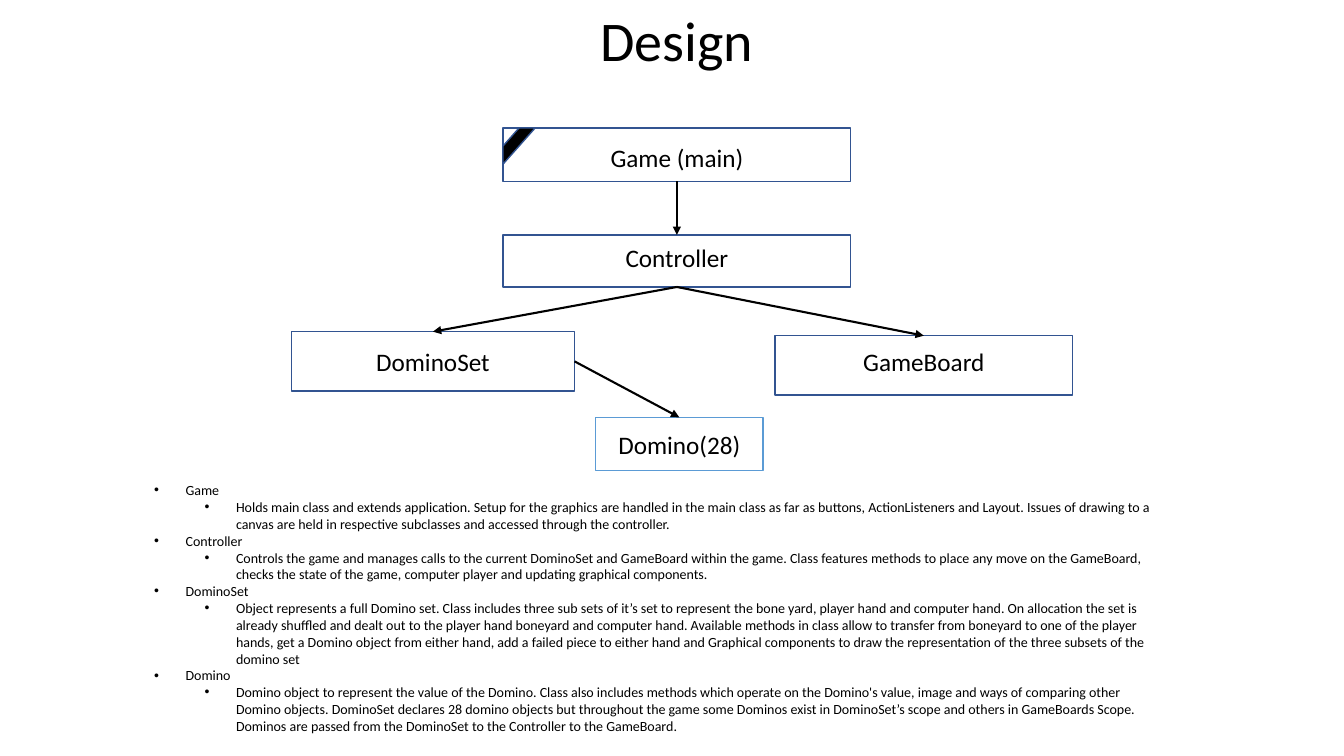
from pptx import Presentation
from pptx.dml.color import RGBColor
from pptx.enum.shapes import MSO_CONNECTOR, MSO_SHAPE
from pptx.enum.text import MSO_ANCHOR, PP_ALIGN
from pptx.oxml.ns import qn
from pptx.util import Pt
from lxml import etree

RECT, STRIPE = MSO_SHAPE.RECTANGLE, MSO_SHAPE.DIAGONAL_STRIPE
LINE = MSO_CONNECTOR.STRAIGHT
LEFT, MID = PP_ALIGN.LEFT, PP_ALIGN.CENTER
TOP, CORE, LOW = MSO_ANCHOR.TOP, MSO_ANCHOR.MIDDLE, MSO_ANCHOR.BOTTOM

THEME = {
    "font": "Calibri", "ink": "000000", "paper": "FFFFFF",
    "edge": "325491", "pale": "5B9BD5",
    "title": 40, "label": 18, "body": 10,
}

TITLE = ("Design", (120.2, 0, 726.5, 56.2))

BOXES = {
    "Game (main)": ((359.3, 91.4, 248.4, 38.2), "edge"),
    "Controller": ((359.3, 167.8, 248.4, 37.2), "edge"),
    "DominoSet": ((208.1, 236.9, 202.3, 42.5), "edge"),
    "GameBoard": ((553.7, 239.8, 212.4, 42.5), "edge"),
    "Domino(28)": ((425.5, 298.1, 119.5, 38.2), "pale"),
}
LABELS = {
    "Game (main)": (97.9, 157),
    "Controller": (169.9, 134),
    "DominoSet": (244.1, 183.6),
    "GameBoard": (244.1, 193.7),
}
MARK = (359.3, 91.4, 23, 25.9)

ARROWS = [
    ("Controller", 2, "DominoSet", 0),
    ("Controller", 2, "GameBoard", 0),
    ("Game (main)", 2, "Controller", 0),
    ("DominoSet", 3, "Domino(28)", 0),
]

NOTES_AT = (103, 340.6, 735.1, 199.4)
NOTES = [
    ("Game", "Holds main class and extends application. Setup for the graphics are handled in the main class as far as buttons, ActionListeners and Layout. Issues of drawing to a canvas are held in respective subclasses and accessed through the controller."),
    ("Controller", "Controls the game and manages calls to the current DominoSet and GameBoard within the game. Class features methods to place any move on the GameBoard, checks the state of the game, computer player and updating graphical components."),
    ("DominoSet", "Object represents a full Domino set. Class includes three sub sets of it’s set to represent the bone yard, player hand and computer hand. On allocation the set is already shuffled and dealt out to the player hand boneyard and computer hand. Available methods in class allow to transfer from boneyard to one of the player hands, get a Domino object from either hand, add a failed piece to either hand and Graphical components to draw the representation of the three subsets of the domino set"),
    ("Domino", "Domino object to represent the value of the Domino. Class also includes methods which operate on the Domino's value, image and ways of comparing other Domino objects. DominoSet declares 28 domino objects but throughout the game some Dominos exist in DominoSet’s scope and others in GameBoards Scope. Dominos are passed from the DominoSet to the Controller to the GameBoard."),
]
INDENT, STEP = 22.5, 36


def color(name):
    return RGBColor.from_string(THEME[name])


def points(spot):
    return [Pt(n) for n in spot]


def write(frame, lines, size="label", align=MID, anchor=TOP, space=None, bullet=False):
    frame.word_wrap = True
    frame.vertical_anchor = anchor
    for i, (level, text) in enumerate(lines):
        para = frame.paragraphs[0] if i == 0 else frame.add_paragraph()
        para.alignment = align
        para.level = level
        if space:
            para.line_spacing = space
        run = para.add_run()
        run.text = text
        run.font.name = THEME["font"]
        run.font.size = Pt(THEME[size])
        run.font.color.rgb = color("ink")
        if bullet:
            props = para._p.get_or_add_pPr()
            props.set("marL", str(Pt(INDENT + STEP * level)))
            props.set("indent", str(-Pt(INDENT)))
            etree.SubElement(props, qn("a:buFont")).set("typeface", "Arial")
            etree.SubElement(props, qn("a:buChar")).set("char", "•")


def add_text(slide, spot, lines, **style):
    box = slide.shapes.add_textbox(*points(spot))
    write(box.text_frame, lines, **style)


def add_box(slide, kind, spot, fill, edge):
    box = slide.shapes.add_shape(kind, *points(spot))
    box.shadow.inherit = False
    box.fill.solid()
    box.fill.fore_color.rgb = color(fill)
    box.line.color.rgb = color(edge)
    box.line.width = Pt(1)
    return box


def add_arrow(slide, start, out, end, into):
    link = slide.shapes.add_connector(LINE, 0, 0, 0, 0)
    link.begin_connect(start, out)
    link.end_connect(end, into)
    link.line.color.rgb = color("ink")
    link.line.width = Pt(1.5)
    etree.SubElement(link.line._get_or_add_ln(), qn("a:tailEnd")).set("type", "triangle")
    etree.SubElement(link._element.spPr, qn("a:effectLst"))


def main():
    deck = Presentation()
    deck.slide_width, deck.slide_height = Pt(960), Pt(540)
    slide = deck.slides.add_slide(deck.slide_layouts[6])

    text, spot = TITLE
    add_text(slide, spot, [(0, text)], size="title", anchor=LOW, space=0.9)

    nodes = {}
    for name, (spot, edge) in BOXES.items():
        nodes[name] = add_box(slide, RECT, spot, "paper", edge)
        if name in LABELS:
            top, width = LABELS[name]
            left = spot[0] + (spot[2] - width) / 2
            add_text(slide, (left, top, width, 28.8), [(0, name)])
        else:
            write(nodes[name].text_frame, [(0, name)], anchor=CORE)
    add_box(slide, STRIPE, MARK, "ink", "edge")

    for start, out, end, into in ARROWS:
        add_arrow(slide, nodes[start], out, nodes[end], into)

    lines = [(level, text) for pair in NOTES for level, text in enumerate(pair)]
    add_text(slide, NOTES_AT, lines, size="body", align=LEFT, bullet=True)
    deck.save("out.pptx")


if __name__ == "__main__":
    main()
